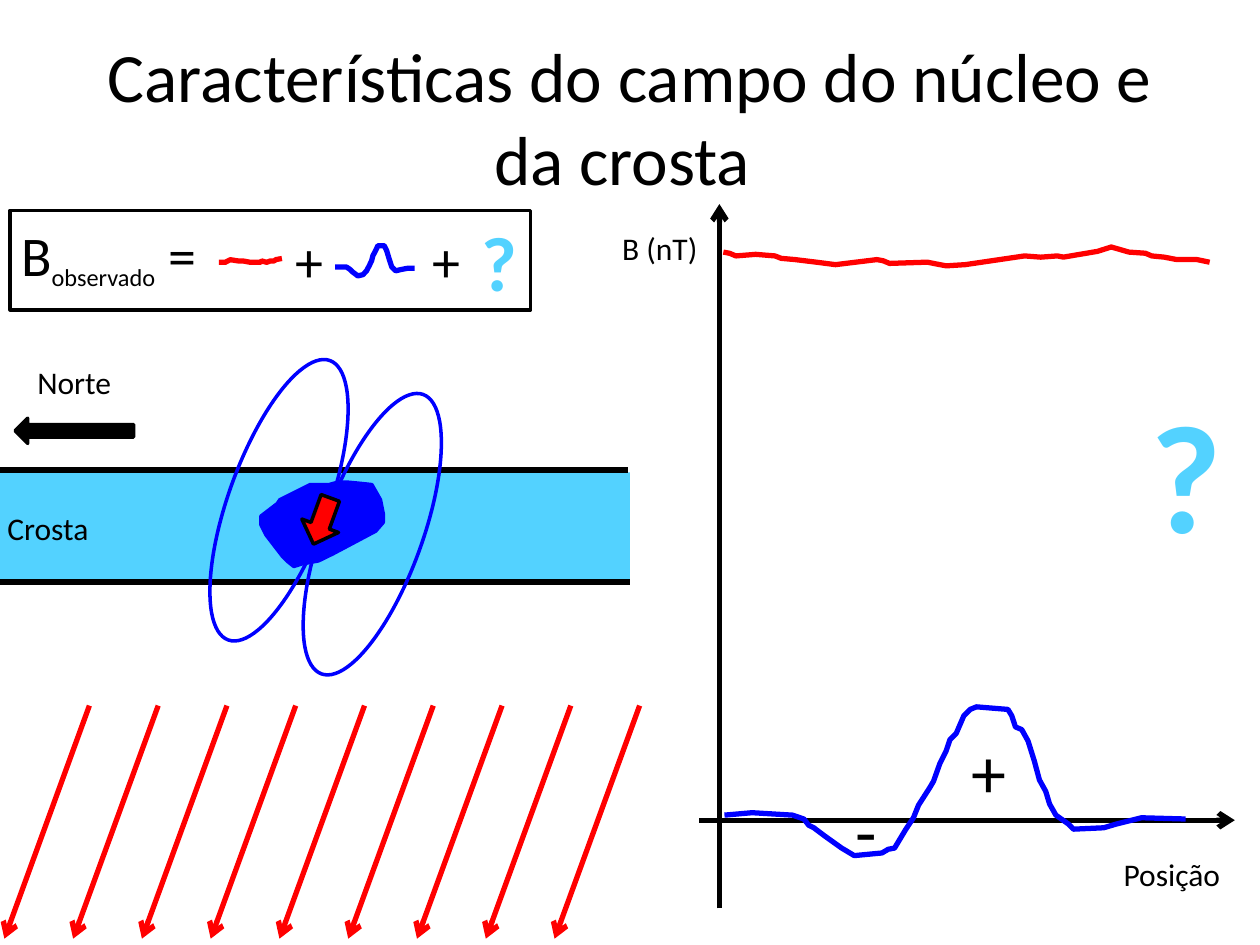
from dataclasses import dataclass
from math import cos, radians, sin
from typing import Optional

from lxml.etree import SubElement
from pptx import Presentation
from pptx.dml.color import RGBColor
from pptx.enum.shapes import MSO_CONNECTOR as Link, MSO_SHAPE as Preset
from pptx.enum.text import MSO_ANCHOR as Anchor, MSO_AUTO_SIZE as Fit, PP_ALIGN as Align
from pptx.oxml.ns import qn
from pptx.util import Pt


@dataclass(frozen=True)
class Theme:
    font: str = "Calibri"
    black: str = "000000"
    red: str = "FF0000"
    blue: str = "0000FF"
    sky: str = "53D2FF"
    title: float = 39.6
    label: float = 18
    formula: float = 32
    subscript: float = 24
    sign: float = 40
    small_mark: float = 44
    big_mark: float = 88
    thin: float = 2
    thick: float = 3


THEME = Theme()


@dataclass(frozen=True)
class Span:
    text: str
    size: float
    color: str = THEME.black
    bold: bool = False
    lowered: bool = False


@dataclass(frozen=True)
class Label:
    frame: tuple
    spans: tuple
    centered: bool = False
    title: bool = False


@dataclass(frozen=True)
class Block:
    preset: Preset
    frame: tuple
    fill: Optional[str] = None
    line: Optional[str] = None
    turn: float = 0


@dataclass(frozen=True)
class Stroke:
    start: tuple
    end: tuple
    color: str = THEME.black
    arrow: bool = False


@dataclass(frozen=True)
class Curve:
    points: tuple
    color: str
    weight: float = THEME.thick
    filled: bool = False
    turn: float = 0
    center: tuple = (0, 0)


def paint(shape, fill: Optional[str], line: Optional[str], weight: float) -> None:
    shape.shadow.inherit = False
    if fill:
        shape.fill.solid()
        shape.fill.fore_color.rgb = RGBColor.from_string(fill)
    else:
        shape.fill.background()
    if line:
        shape.line.color.rgb = RGBColor.from_string(line)
        shape.line.width = Pt(weight)
    else:
        shape.line.fill.background()


def draw_block(page, block: Block) -> None:
    shape = page.shapes.add_shape(block.preset, *map(Pt, block.frame))
    shape.rotation = block.turn
    paint(shape, block.fill, block.line, THEME.thin)


def draw_stroke(page, stroke: Stroke) -> None:
    line = page.shapes.add_connector(
        Link.STRAIGHT, *map(Pt, stroke.start + stroke.end))
    line.line.color.rgb = RGBColor.from_string(stroke.color)
    line.line.width = Pt(THEME.thick)
    if stroke.arrow:
        SubElement(line.line._get_or_add_ln(), qn("a:tailEnd"), type="arrow")
    SubElement(line._element.spPr, qn("a:effectLst"))


def draw_curve(page, curve: Curve) -> None:
    """Lay the page points out in the unturned frame, then turn the shape."""
    angle, (cx, cy) = radians(-curve.turn), curve.center
    points = [(Pt(cx + (x - cx) * cos(angle) - (y - cy) * sin(angle)),
               Pt(cy + (x - cx) * sin(angle) + (y - cy) * cos(angle)))
              for x, y in curve.points]
    builder = page.shapes.build_freeform(*points[0])
    builder.add_line_segments(points[1:], close=curve.filled)
    shape = builder.convert_to_shape()
    shape.rotation = curve.turn
    paint(shape, curve.color if curve.filled else None, curve.color, curve.weight)


def draw_label(page, label: Label) -> None:
    box = page.shapes.add_textbox(*map(Pt, label.frame))
    frame = box.text_frame
    frame.word_wrap = True
    frame.auto_size = Fit.NONE if label.title else Fit.SHAPE_TO_FIT_TEXT
    frame.vertical_anchor = Anchor.MIDDLE if label.title else Anchor.TOP
    para = frame.paragraphs[0]
    para.alignment = Align.CENTER if label.centered else Align.LEFT
    for span in label.spans:
        run = para.add_run()
        run.text = span.text
        run.font.name, run.font.size, run.font.bold = THEME.font, Pt(span.size), span.bold
        run.font.color.rgb = RGBColor.from_string(span.color)
        if span.lowered:
            run._r.get_or_add_rPr().set("baseline", "-25000")


# Crust, magnetised body and its field loops
CRUST = Block(Preset.RECTANGLE, (0, 270, 360, 62.6), THEME.sky)
CRUST_EDGES = (Stroke((0, 332.6), (360, 332.6)), Stroke((-1.4, 268.6), (358.6, 268.6)))
BODY = Curve((
    (149, 295.2), (158.4, 288), (159.8, 285.8), (177.1, 277.2), (187.9, 277.2),
    (193, 275.8), (198.7, 275.8), (205.9, 276.5), (212.4, 277.2), (217.3, 285.8),
    (218.9, 293.8), (218.9, 298.8), (214.6, 303.8), (190.1, 316.8), (181.9, 320.8),
    (172.1, 322.6), (167.8, 324), (164.2, 321.1), (161.3, 318.2), (151.9, 306),
    (149, 300.2)), THEME.blue, THEME.thin, True, 329.5, (185.4, 296.3))
BLOCKS = (
    Block(Preset.OVAL, (184.3, 220.3, 56.9, 169.9), None, THEME.blue, 20),
    Block(Preset.OVAL, (131, 200.9, 56.9, 169.9), None, THEME.blue, 20),
    Block(Preset.DOWN_ARROW, (172.8, 283.7, 22.3, 28.1), THEME.red, THEME.black, 20),
    Block(Preset.RIGHT_ARROW, (8.6, 239, 67.7, 14.4), THEME.black, THEME.black, 180),
    Block(Preset.RECTANGLE, (5.8, 120.2, 297.4, 56.9), None, THEME.black),
)

# Axes and the evenly spaced core field arrows
AXES = (Stroke((399.6, 468.7), (705.6, 468.7), arrow=True),
        Stroke((411.1, 519.1), (411.1, 116.6), arrow=True))
CORE_FIELD = tuple(
    Stroke((51.1 + 39.3 * i, 403.2), (2.5 + 39.3 * i, 536.4), THEME.red, True)
    for i in range(9))

# Core and crust signals, in the graph and in the formula
CURVES = (
    Curve((
        (691.2, 149.8), (684, 148.3), (672.5, 148.3), (665.3, 146.9), (658.1, 146.2),
        (654.5, 144.7), (645.1, 144), (635, 141.1), (627.1, 143.6), (607.7, 146.9),
        (604.1, 146.2), (594.7, 146.9), (585.4, 146.2), (551.5, 151.2), (540.7, 151.9),
        (533.5, 150.5), (529.9, 149.8), (508.3, 150.5), (504.7, 149), (501.1, 148.3),
        (477.4, 151.2), (466.6, 149.8), (454.3, 148.3), (446.4, 147.6), (442.8, 146.2),
        (431.8, 145.3), (420.5, 146.2), (416.9, 144.7), (413.3, 144)),
        THEME.red, turn=350, center=(551.9, 147.2)),
    Curve((
        (125.3, 149.8), (128.9, 149.8), (131.8, 148.3), (136.1, 149), (139, 149),
        (143.3, 149.8), (149, 149.8), (149.8, 149), (152.6, 149.8), (154.8, 149),
        (157, 149), (157.7, 148.3), (161.3, 147.6)),
        THEME.red, turn=16, center=(143.6, 149.4)),
    Curve((
        (191.5, 152.6), (198, 152.6), (200.2, 154.1), (201.6, 155.5), (204.5, 157.7),
        (207.4, 157), (209.5, 154.8), (211, 151.9), (212.4, 149), (213.1, 146.2),
        (214.6, 143.3), (216, 140.4), (219.6, 140.4), (221, 143.3), (222.5, 148.3),
        (223.9, 152.6), (226.1, 154.8), (229, 154.1), (232.6, 153.4), (236.9, 153.4)),
        THEME.blue),
    Curve((
        (414, 465.8), (429.8, 464.4), (452.9, 465.8), (459.4, 468), (462.2, 471.6),
        (465.1, 473), (470.9, 477.4), (481, 484.6), (488.2, 488.9), (504, 487.4),
        (507.6, 485.3), (511.2, 484.6), (517.7, 473.8), (522, 467.3), (524.9, 460.1),
        (531.4, 450), (533.5, 446.4), (537.1, 436.3), (540.7, 429.1), (542.9, 422.6),
        (546.5, 419), (550.8, 409), (554.4, 405.4), (558, 403.9), (576, 405.4),
        (578.2, 409), (580.3, 415.4), (583.9, 416.9), (587.5, 423.4), (591.1, 434.9),
        (594, 445.7), (597.6, 452.2), (599.8, 459.4), (603.4, 465.8), (610.6, 470.9),
        (613.4, 473.8), (630.7, 473), (637.9, 470.9), (652.3, 467.3), (677.5, 468)),
        THEME.blue),
)

# Wording
PLUS = (Span("+", THEME.formula),)
LABELS = (
    Label((36, 21.6, 648, 90), (
        Span("Características do campo do núcleo e da crosta ", THEME.title),), True, True),
    Label((-2.9, 287.3, 76.3, 28.8), (Span("Crosta", THEME.label),)),
    Label((348.5, 127.4, 76.3, 28.8), (Span("B (nT)", THEME.label),)),
    Label((635, 485.3, 76.3, 28.8), (Span("Posição", THEME.label),)),
    Label((8.6, 203.8, 67.7, 28.8), (Span("Norte", THEME.label),), True),
    Label((649.4, 213.1, 56.9, 113.8), (Span("?", THEME.big_mark, THEME.sky, True),), True),
    Label((267.8, 118.8, 28.1, 60.5), (Span("?", THEME.small_mark, THEME.sky, True),), True),
    Label((5, 122.4, 169.9, 46.1), (
        Span("B", THEME.formula), Span("observado", THEME.subscript, lowered=True),
        Span(" =", THEME.formula))),
    Label((162, 126, 33.8, 46.1), PLUS),
    Label((239.8, 126, 33.8, 46.1), PLUS),
    Label((546.5, 412.6, 36.7, 55.4), (Span("+", THEME.sign),), True),
    Label((476.6, 446.4, 36.7, 55.4), (Span("-", THEME.sign),), True),
)


def main() -> None:
    deck = Presentation()
    deck.slide_width, deck.slide_height = Pt(720), Pt(540)
    page = deck.slides.add_slide(deck.slide_layouts[6])
    draw_block(page, CRUST)
    for stroke in CRUST_EDGES + AXES + CORE_FIELD:
        draw_stroke(page, stroke)
    for curve in (BODY,) + CURVES:
        draw_curve(page, curve)
    for block in BLOCKS:
        draw_block(page, block)
    for label in LABELS:
        draw_label(page, label)
    deck.save("out.pptx")


if __name__ == "__main__":
    main()
